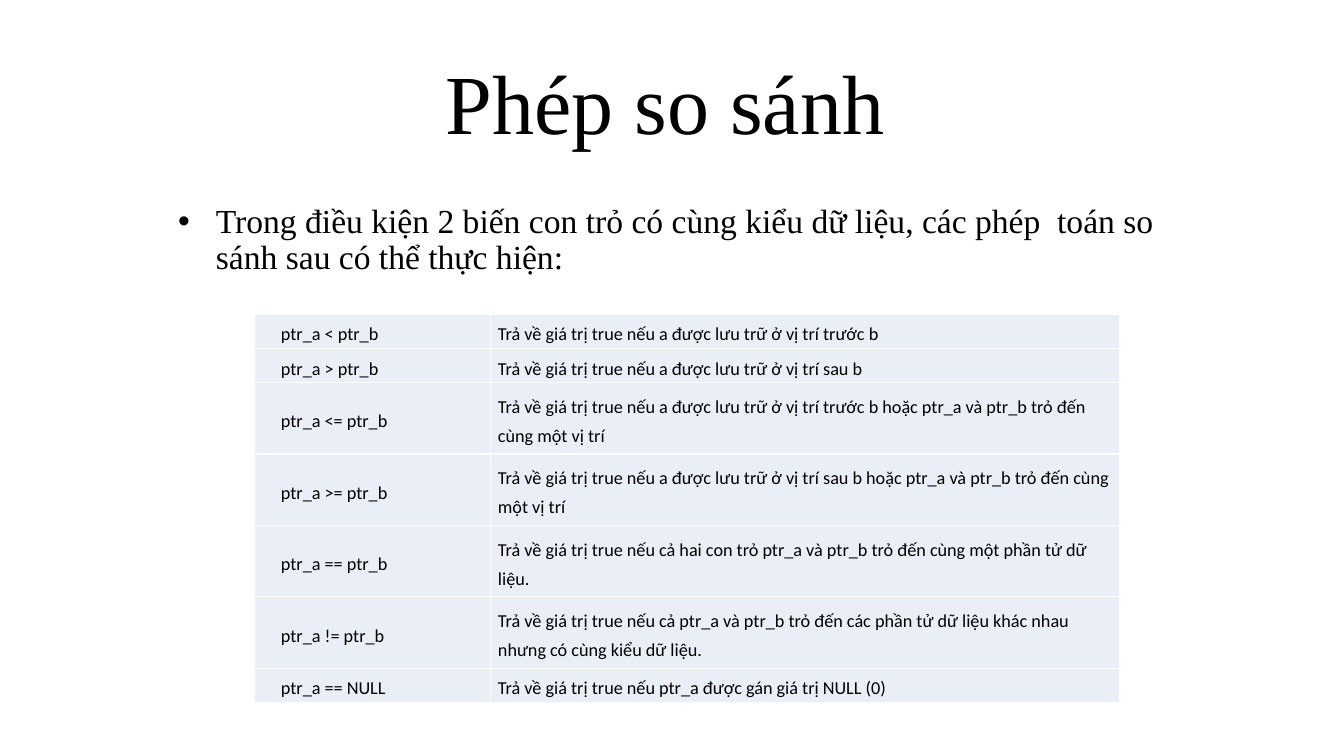
from lxml.etree import SubElement
from pptx import Presentation
from pptx.dml.color import RGBColor
from pptx.enum.text import MSO_ANCHOR as Anchor, PP_ALIGN as Align
from pptx.oxml import parse_xml
from pptx.oxml.ns import nsdecls, qn
from pptx.util import Cm, Pt

SERIF, SANS = "Times New Roman", "Calibri"
BLACK, WHITE, PALE_BLUE = "000000", "FFFFFF", "EAEFF7"
ONE_LINE, TWO_LINES = 0.86, 1.8

COMPARISONS = [
    ("ptr_a < ptr_b", "Trả về giá trị true nếu a được lưu trữ ở vị trí trước b", ONE_LINE),
    ("ptr_a > ptr_b", "Trả về giá trị true nếu a được lưu trữ ở vị trí sau b", ONE_LINE),
    ("ptr_a <= ptr_b", "Trả về giá trị true nếu a được lưu trữ ở vị trí trước b "
     "hoặc ptr_a và ptr_b trỏ đến cùng một vị trí", TWO_LINES),
    ("ptr_a >= ptr_b", "Trả về giá trị true nếu a được lưu trữ ở vị trí sau b "
     "hoặc ptr_a và ptr_b trỏ đến cùng một vị trí", TWO_LINES),
    ("ptr_a == ptr_b", "Trả về giá trị true nếu cả hai con trỏ ptr_a và ptr_b "
     "trỏ đến cùng một phần tử dữ liệu.", TWO_LINES),
    ("ptr_a != ptr_b", "Trả về giá trị true nếu cả ptr_a và ptr_b trỏ đến các "
     "phần tử dữ liệu khác nhau nhưng có cùng kiểu dữ liệu.", TWO_LINES),
    ("ptr_a == NULL", "Trả về giá trị true nếu ptr_a được gán giá trị NULL (0)", ONE_LINE),
]


def color(hex_value):
    return RGBColor.from_string(hex_value)


def write(frame, text, size, font=SERIF, align=Align.LEFT, spacing=0.9,
          before=0, margin=0, indent=0, bullet=None):
    """Fill the frame's first paragraph; margin and indent are in cm."""
    paragraph = frame.paragraphs[0]
    paragraph.alignment = align
    paragraph.line_spacing = spacing
    paragraph.space_before = Pt(before)
    properties = paragraph._p.get_or_add_pPr()
    properties.set("marL", str(Cm(margin)))
    properties.set("indent", str(Cm(indent)))
    if bullet:
        SubElement(properties, qn("a:buFont"), typeface="Arial")
        SubElement(properties, qn("a:buChar"), char=bullet)
    run = paragraph.add_run()
    run.text = text
    run.font.size = Pt(size)
    run.font.name = font
    run.font.color.rgb = color(BLACK)


def add_text(slide, text, left, top, width, height, anchor=Anchor.TOP, **style):
    frame = slide.shapes.add_textbox(Cm(left), Cm(top), Cm(width), Cm(height)).text_frame
    frame.word_wrap = True
    frame.vertical_anchor = anchor
    write(frame, text, **style)


def add_borders(cell, hex_value, points):
    properties = cell._tc.get_or_add_tcPr()
    for position, side in enumerate(("lnL", "lnR", "lnT", "lnB")):
        properties.insert(position, parse_xml(
            f'<a:{side} {nsdecls("a")} w="{Pt(points)}"><a:solidFill>'
            f'<a:srgbClr val="{hex_value}"/></a:solidFill></a:{side}>'))


def fill_cell(cell, text, **style):
    cell.fill.solid()
    cell.fill.fore_color.rgb = color(PALE_BLUE)
    add_borders(cell, WHITE, 1)
    cell.vertical_anchor = Anchor.MIDDLE
    cell.margin_left = cell.margin_right = Cm(0.18)
    cell.margin_top = cell.margin_bottom = 0
    write(cell.text_frame, text, size=13, font=SANS, spacing=1.3, **style)


def add_comparison_table(slide, left, top, widths):
    height = sum(row_height for _, _, row_height in COMPARISONS)
    table = slide.shapes.add_table(len(COMPARISONS), len(widths), Cm(left), Cm(top),
                                   Cm(sum(widths)), Cm(height)).table
    table.first_row = table.horz_banding = False
    for column, width in zip(table.columns, widths):
        column.width = Cm(width)
    for index, (expression, meaning, row_height) in enumerate(COMPARISONS):
        table.rows[index].height = Cm(row_height)
        is_last = index == len(COMPARISONS) - 1
        fill_cell(table.cell(index, 0), expression, indent=0.5)
        fill_cell(table.cell(index, 1), meaning,
                  align=Align.JUSTIFY if is_last else Align.LEFT)


def main():
    deck = Presentation()
    deck.slide_width, deck.slide_height = Cm(33.87), Cm(19.05)
    slide = deck.slides.add_slide(deck.slide_layouts[6])
    add_text(slide, "Phép so sánh", 4.06, 1.09, 25.4, 2.87,
             anchor=Anchor.BOTTOM, size=60, align=Align.CENTER)
    add_text(slide, "Trong điều kiện 2 biến con trỏ có cùng kiểu dữ liệu, các phép  toán "
             "so sánh sau có thể thực hiện:", 4.24, 5.03, 25.4, 12.65,
             size=24, before=10, margin=0.95, indent=-0.95, bullet="•")
    add_comparison_table(slide, 6.4, 7.92, (5.97, 15.85))
    deck.save("out.pptx")


if __name__ == "__main__":
    main()
